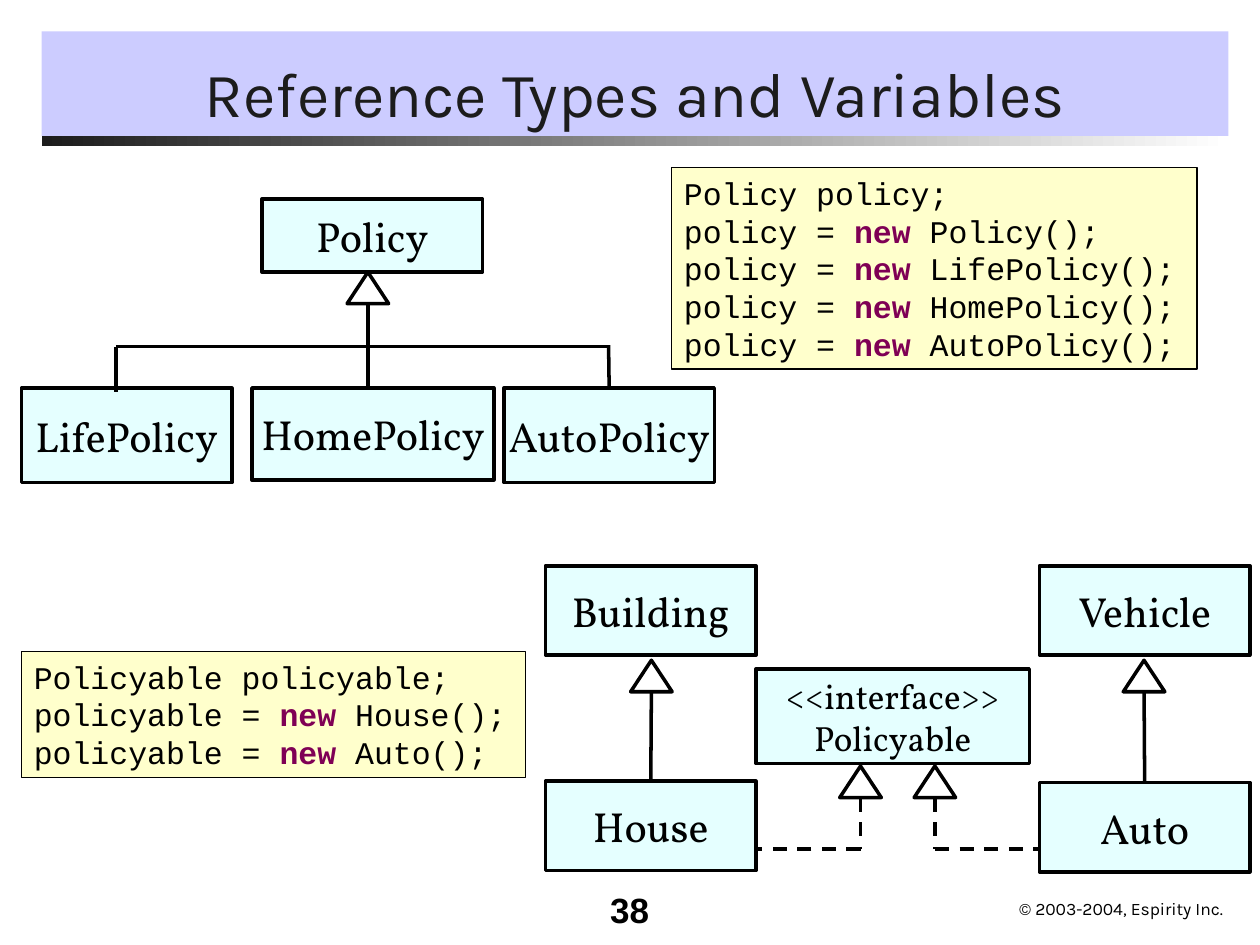
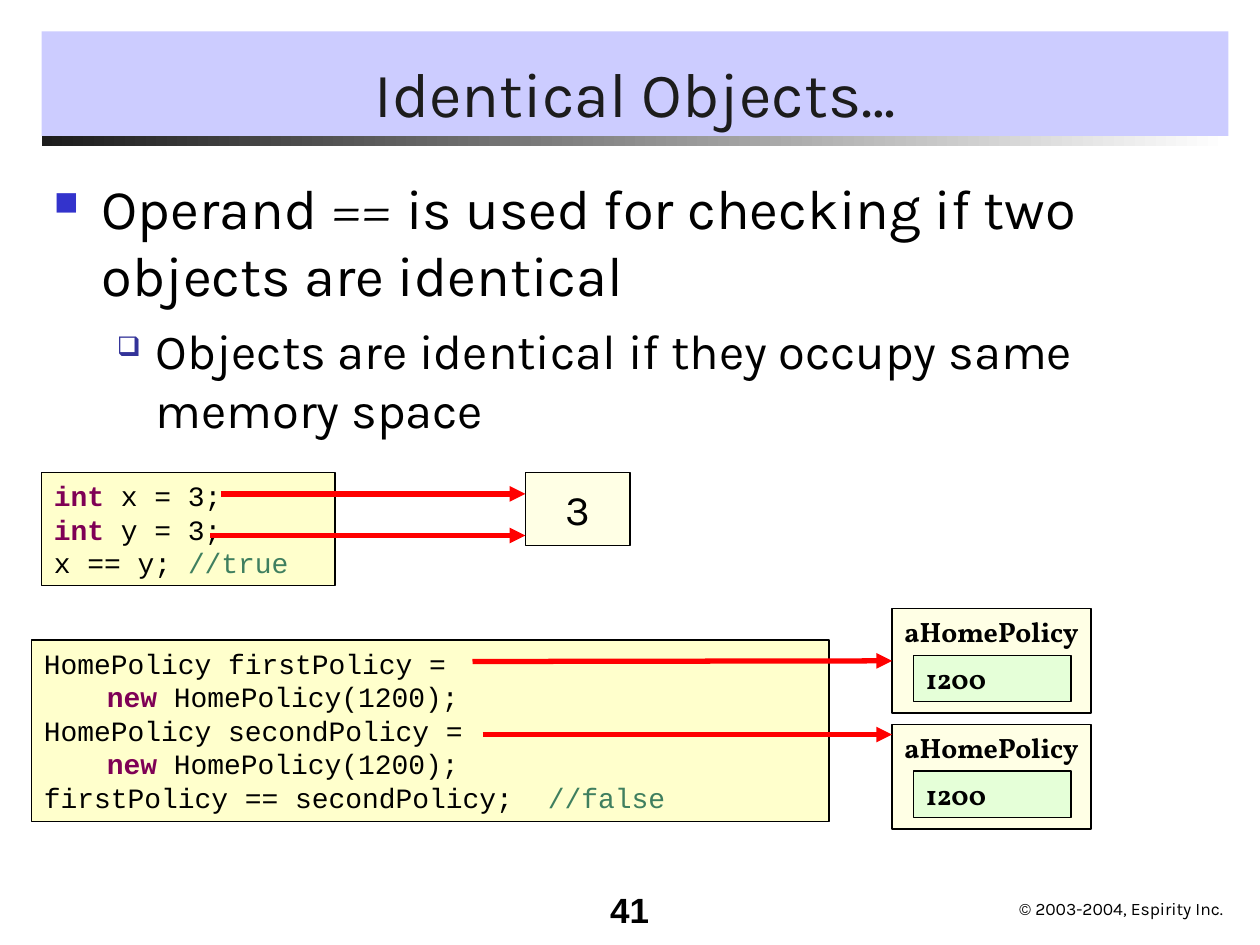
import pptx
import pptx.dml.color
import pptx.enum.dml
import pptx.enum.shapes
import pptx.enum.text
import pptx.oxml
import pptx.oxml.ns
import pptx.util

Inches, Pt = pptx.util.Inches, pptx.util.Pt
RGB = pptx.dml.color.RGBColor
SHAPE = pptx.enum.shapes.MSO_SHAPE
ALIGN = pptx.enum.text.PP_ALIGN
ANCHOR = pptx.enum.text.MSO_ANCHOR
DASH = pptx.enum.dml.MSO_LINE.DASH

BLACK = RGB(0x00, 0x00, 0x00)
WHITE = RGB(0xFF, 0xFF, 0xFF)
INK = RGB(0x1C, 0x1C, 0x1C)
LILAC = RGB(0xCC, 0xCC, 0xFF)
CREAM = RGB(0xFF, 0xFF, 0xCC)
AQUA = RGB(0xCC, 0xFF, 0xFF)
MINT = RGB(0xCC, 0xFF, 0xCC)
RED = RGB(0xFF, 0x00, 0x00)
PLUM = RGB(0x7F, 0x00, 0x55)
MOSS = RGB(0x3F, 0x7F, 0x5F)

TITLE = {"name": "Karla", "size": Pt(36), "rgb": INK}
NUMBER = {"name": "Arial", "size": Pt(20), "rgb": BLACK, "bold": True}
RIGHTS = {"name": "Karla", "size": Pt(10), "rgb": BLACK}
VALUE = {"name": "Karla", "size": Pt(24), "rgb": BLACK}
CLASS = {"name": "Vollkorn", "size": Pt(24), "rgb": BLACK}
FACE = {**CLASS, "size": Pt(20)}
OBJECT = {**CLASS, "size": Pt(16), "bold": True}
CODE = {"name": "Courier New", "rgb": BLACK}
KEY = {"rgb": PLUM, "bold": True}
NOTE = {"rgb": MOSS}
KEYS = ("new", "int")

OWNER = "© 2003-2004, Espirity Inc."

# Reference types: class boxes as name, place, lines, format
CLASSES = [
    ("Policy", (2.08, 1.58, 1.75, 0.58), ["Policy"], CLASS),
    ("Life", (0.17, 3.08, 1.67, 0.75), ["LifePolicy"], CLASS),
    ("Home", (2, 3.08, 1.92, 0.73), ["HomePolicy"], CLASS),
    ("Auto policy", (4, 3.08, 1.67, 0.75), ["AutoPolicy"], CLASS),
    ("Face", (6, 5.31, 2.17, 0.75), ["<<interface>>", "Policyable"], FACE),
    ("Building", (4.33, 4.49, 1.67, 0.71), ["Building"], CLASS),
    ("House", (4.33, 6.2, 1.67, 0.71), ["House"], CLASS),
    ("Vehicle", (8.25, 4.49, 1.67, 0.71), ["Vehicle"], CLASS),
    ("Auto", (8.25, 6.21, 1.67, 0.71), ["Auto"], CLASS),
]
TIPS = [(2.92, 2.16), (5.17, 5.24), (9.08, 5.24), (6.83, 6.08), (7.42, 6.08)]
TIP_W, TIP_H = 0.33, 0.25
# Lines as start, end, name of the box whose top the end joins
SOLID = [
    ((2.92, 2.42), (2.92, 3.08), None),
    ((0.92, 2.75), (4.83, 2.75), None),
    ((0.92, 2.75), (0.92, 3.11), None),
    ((4.83, 2.74), (4.83, 3.08), "Auto policy"),
    ((5.17, 5.49), (5.17, 6.2), "House"),
    ((9.08, 5.49), (9.08, 6.21), "Auto"),
]
DASHED = [
    ((6.83, 6.74), (6, 6.74)),
    ((6.83, 6.33), (6.83, 6.74)),
    ((7.42, 6.74), (8.25, 6.74)),
    ((7.42, 6.33), (7.42, 6.74)),
]
TYPE_CODE = [
    ((5.33, 1.33, 4.17, 1.6), [
        "Policy policy;",
        "policy = new Policy();",
        "policy = new LifePolicy();",
        "policy = new HomePolicy();",
        "policy = new AutoPolicy();",
    ]),
    ((0.17, 5.17, 4, 1), [
        "Policyable policyable;",
        "policyable = new House();",
        "policyable = new Auto();",
    ]),
]

# Identical objects: bullets as runs, size, indent, hang, space, bullet look
POINTS = [
    ([("Operand ", {}), ("==", {"name": "Vollkorn"}),
      (" is used for checking if two objects are identical", {})],
     32, 0.38, 0.38, 0, ("■", "3333CC", 60)),
    ([("Objects are identical if they occupy same memory space", {})],
     28, 0.81, 0.31, 7, ("❑", "333399", 55)),
]
SAME_CODE = [
    ((0.33, 3.75, 2.33, 0.9), [
        "int x = 3;",
        "int y = 3;",
        "x == y; //true",
    ]),
    ((0.25, 5.08, 6.33, 1.44), [
        "HomePolicy firstPolicy =",
        "\tnew HomePolicy(1200);",
        "HomePolicy secondPolicy =",
        "\tnew HomePolicy(1200);",
        "firstPolicy == secondPolicy;\t//false",
    ]),
]
CARD_X, CARD_TOPS = 7.08, (4.83, 5.75)
ARROWS = [
    ((1.75, 3.92), (4.17, 3.92)),
    ((1.67, 4.25), (4.17, 4.25)),
    ((3.83, 5.83), (CARD_X, 5.83)),
]


def write(frame, paras, base, align=ALIGN.LEFT, anchor=ANCHOR.TOP, wrap=True):
    """Fill a text frame; each paragraph is a list of (text, changes)."""
    look = {"word_wrap": wrap, "vertical_anchor": anchor}
    for name, value in look.items():
        setattr(frame, name, value)
    for i, runs in enumerate(paras):
        para = frame.add_paragraph() if i else frame.paragraphs[0]
        para.alignment = align
        for text, change in runs:
            run = para.add_run()
            run.text = text
            for name, value in {**base, **change}.items():
                goal = run.font.color if name == "rgb" else run.font
                setattr(goal, name, value)


def plain(*lines):
    return [[(line, {})] for line in lines]


def label(slide, place, text, base, **look):
    box = slide.shapes.add_textbox(*map(Inches, place))
    write(box.text_frame, plain(text), base, **look)


def block(slide, place, fill=None, width=0.75, clear=False, kind=SHAPE.RECTANGLE):
    """Add a shape; width 0 means no outline, clear a half-clear fill."""
    box = slide.shapes.add_shape(kind, *map(Inches, place))
    box.shadow.inherit = False
    if fill is None:
        box.fill.background()
    else:
        box.fill.solid()
        box.fill.fore_color.rgb = fill
    if clear:
        tint = box._element.spPr.find(".//" + pptx.oxml.ns.qn("a:srgbClr"))
        add(tint, "alpha", val=50000)
    if width:
        box.line.color.rgb = BLACK
        box.line.width = Pt(width)
    else:
        box.line.fill.background()
    return box


def add(node, tag, **values):
    """Append a drawing element with the given attributes."""
    kid = pptx.oxml.parse_xml(f"<a:{tag} {pptx.oxml.ns.nsdecls('a')}/>")
    for name, value in values.items():
        kid.set(name, str(value))
    node.append(kid)
    return kid


def link(slide, start, end, color=BLACK, width=2, dash=None, head=False):
    line = slide.shapes.add_connector(
        pptx.enum.shapes.MSO_CONNECTOR.STRAIGHT, *map(Inches, start + end))
    line.line.color.rgb = color
    look = {"width": Pt(width), "dash_style": dash}
    for name, value in look.items():
        setattr(line.line, name, value)
    props = line._element.spPr
    if head:
        add(props.find(pptx.oxml.ns.qn("a:ln")), "tailEnd", type="triangle")
    add(props, "effectLst")
    return line


def paint(line):
    """Split a code line into runs, colouring keyword and comment."""
    code, mark, note = line.partition("//")
    key = next((k for k in KEYS if k in code.split()), None)
    head, key, tail = code.partition(key) if key else (code, "", "")
    runs = [(head, {}), (key, KEY), (tail, {}), (mark + note, NOTE)]
    return [run for run in runs if run[0]]


def listing(slide, items, size):
    for place, lines in items:
        box = block(slide, place, CREAM)
        write(box.text_frame, map(paint, lines), {**CODE, "size": Pt(size)})


def page(deck, title, number):
    """Add a slide with the title band, rule and footer."""
    slide = deck.slides.add_slide(deck.slide_layouts[6])
    rule = block(slide, (0.33, 1.08, 9.42, 0.08), WHITE, 0)
    rule.fill.gradient()
    rule.fill.gradient_angle = 0
    for stop, color in zip(rule.fill.gradient_stops, (INK, WHITE)):
        stop.color.rgb = color
    label(slide, (4.42, 7, 0.83, 0.5), number, NUMBER, align=ALIGN.RIGHT)
    label(slide, (7.99, 7.08, 1.85, 0.27), OWNER, RIGHTS, wrap=False)
    band = block(slide, (0.33, 0.25, 9.42, 0.83), LILAC, 0)
    write(band.text_frame, plain(title), TITLE, ALIGN.CENTER, ANCHOR.BOTTOM)
    return slide


def types(deck):
    slide = page(deck, "Reference Types and Variables", "38")
    boxes = {}
    for name, place, lines, base in CLASSES:
        boxes[name] = block(slide, place, AQUA, 2, True)
        write(boxes[name].text_frame, plain(*lines), base,
              ALIGN.CENTER, ANCHOR.MIDDLE, False)
    for x, y in TIPS:
        block(slide, (x - TIP_W / 2, y, TIP_W, TIP_H), width=2,
              kind=SHAPE.ISOSCELES_TRIANGLE)
    for start, end, name in SOLID:
        line = link(slide, start, end)
        if name:
            line.end_connect(boxes[name], 0)
    for start, end in DASHED:
        link(slide, start, end, dash=DASH)
    listing(slide, TYPE_CODE, 18)


def points(slide):
    frame = slide.shapes.add_textbox(
        *map(Inches, (0.33, 1.33, 9.46, 2.3))).text_frame
    write(frame, [], {})
    for i, (runs, size, left, hang, space, bullet) in enumerate(POINTS):
        para = frame.add_paragraph() if i else frame.paragraphs[0]
        para.level = i
        para.space_before = Pt(space)
        char, color, scale = bullet
        props = para._p.get_or_add_pPr()
        props.set("marL", str(Inches(left)))
        props.set("indent", str(-Inches(hang)))
        add(add(props, "buClr"), "srgbClr", val=color)
        add(props, "buSzPct", val=scale * 1000)
        add(props, "buChar", char=char)
        for text, change in runs:
            run = para.add_run()
            run.text = text
            for name, value in {**VALUE, "size": Pt(size), **change}.items():
                goal = run.font.color if name == "rgb" else run.font
                setattr(goal, name, value)


def same(deck):
    slide = page(deck, "Identical Objects…", "41")
    points(slide)
    listing(slide, SAME_CODE, 16)
    three = block(slide, (4.17, 3.75, 0.83, 0.58), CREAM, clear=True)
    write(three.text_frame, plain("3"), VALUE,
          ALIGN.CENTER, ANCHOR.MIDDLE, False)
    cards = []
    for top in CARD_TOPS:
        cards.append(block(slide, (CARD_X, top, 1.58, 0.83), CREAM, clear=True))
        cell = block(slide, (CARD_X + 0.17, top + 0.37, 1.25, 0.37), MINT, clear=True)
        write(cell.text_frame, plain("1200"), OBJECT)
        label(slide, (CARD_X, top, 1.67, 0.64), "aHomePolicy", OBJECT)
    for start, end in ARROWS:
        link(slide, start, end, RED, 3, head=True)
    first = link(slide, (3.75, 5.25), (CARD_X, 5.25), RED, 3, head=True)
    first.end_connect(cards[0], 1)


def main():
    deck = pptx.Presentation()
    deck.slide_width, deck.slide_height = Inches(10), Inches(7.5)
    types(deck)
    same(deck)
    deck.save("out.pptx")


if __name__ == "__main__":
    main()
